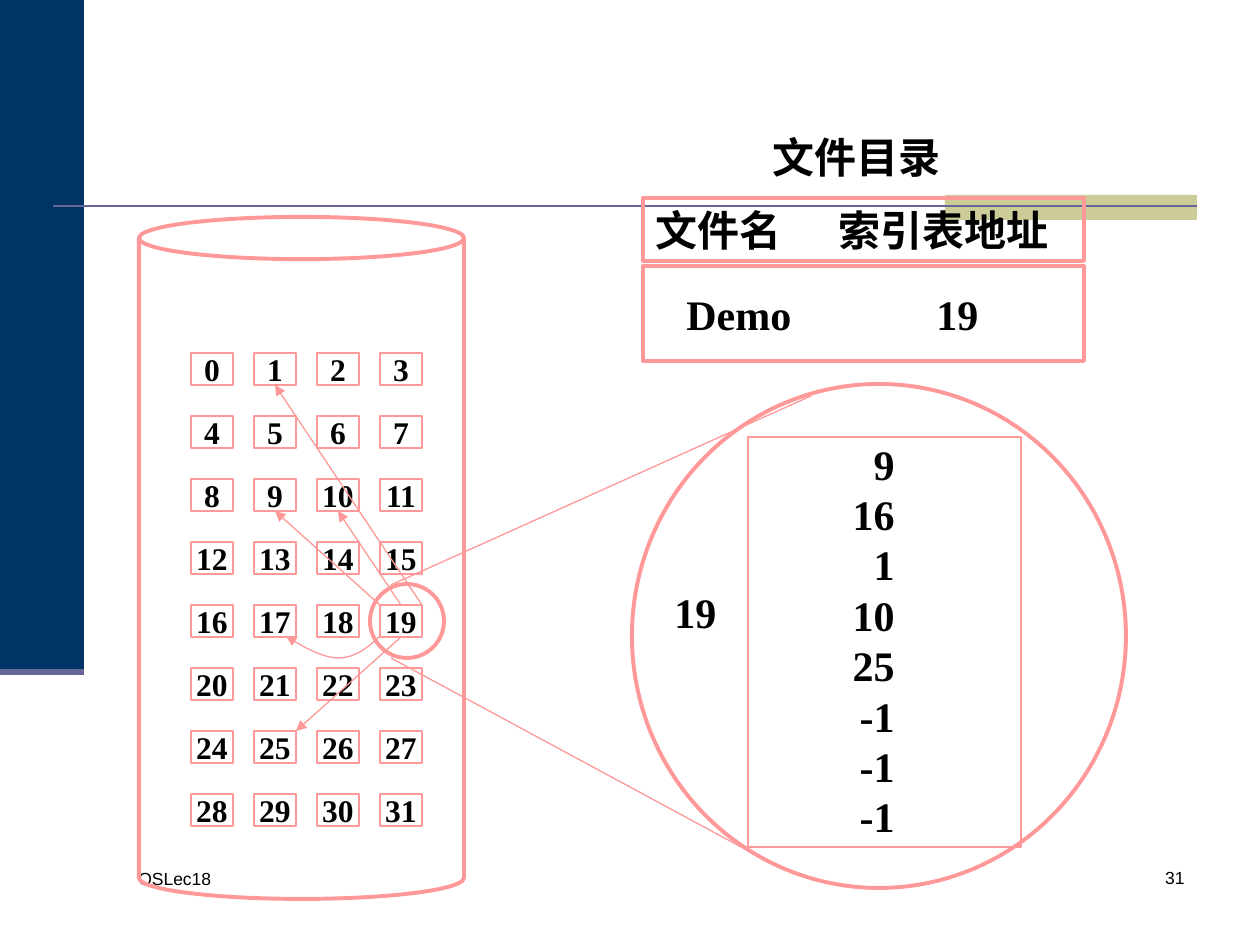
from lxml import etree
from pptx import Presentation, util as u
from pptx.dml.color import RGBColor
from pptx.enum import shapes, text
from pptx.oxml.ns import qn

# Content
PINK, NAVY, PURPLE, KHAKI, BLACK = "FF9999", "003366", "666699", "CCCC99", "000000"
SERIF, SANS = "Times New Roman", "Arial"
THIN, THICK = 0.75, 2.25
LEFT, CENTER, RIGHT = text.PP_ALIGN.LEFT, text.PP_ALIGN.CENTER, text.PP_ALIGN.RIGHT

COLUMNS, ROWS = 4, 8
GRID_LEFT, GRID_TOP, PITCH = 191, 353, 63
BLOCK_WIDTH, BLOCK_HEIGHT = 42, 32
INDEX_BLOCK = 19
INDEX_TABLE = ["9", "16", "1", "10", "25", "-1", "-1", "-1"]

# (corner of the index block, target block, point on the target)
ARROWS = [
    ((1, 0), 1, (0.5, 1)),
    ((0.5, 0), 10, (0.5, 1)),
    ((0, 0), 9, (0.5, 1)),
    ((0.5, 1), 25, (1, 0)),
]
# Two cubic curves from block 19 to block 17
CURVES = [
    [(380, 636), (368, 648), (354, 658), (339, 658)],
    [(339, 658), (323, 658), (305, 648), (286, 636)],
]
ZOOM_LINES = [((391, 585), (811, 396)), ((391, 658), (780, 868))]

# box, lines of text, format, alignment, tab stop
SMALL = {"size": 10, "name": SANS, "bold": False}
FOOTER = [
    ((126, 862, 273, 63), ["OSLec18"], SMALL, LEFT, None),
    ((935, 861, 262, 63), ["31"], SMALL, RIGHT, None),
]
LABELS = [
    ((760, 125, 193, 63), ["文件目录"], {}, LEFT, None),
    ((674, 282, 368, 63), ["Demo\t19"], {}, LEFT, 250),
    ((827, 432, 80, 416), INDEX_TABLE, {}, RIGHT, None),
    ((662, 580, 67, 63), [str(INDEX_BLOCK)], {}, LEFT, None),
]


def px(value):
    return round(value * 914400 / 126)


def color(value):
    return RGBColor.from_string(value)


def set_text(shape, lines, font=None, align=LEFT, tab=None, wrap=True):
    frame = shape.text_frame
    frame.word_wrap = wrap
    style = {"size": 24, "name": SERIF, "bold": True} | (font or {})
    for number, line in enumerate(lines):
        paragraph = frame.paragraphs[0] if number == 0 else frame.add_paragraph()
        paragraph.alignment = align
        if tab:
            stops = etree.SubElement(paragraph._p.get_or_add_pPr(), qn("a:tabLst"))
            etree.SubElement(stops, qn("a:tab"), pos=str(px(tab)), algn="l")
        run = paragraph.add_run()
        run.text = line
        for key, value in style.items():
            setattr(run.font, key, u.Pt(value) if key == "size" else value)
        run.font.color.rgb = color(BLACK)


def add_labels(parent, labels):
    for box, lines, font, align, tab in labels:
        set_text(parent.add_textbox(*map(px, box)), lines, font, align, tab)


def set_outline(shape, width, line=PINK, arrow=False):
    shape.line.color.rgb = color(line)
    shape.line.width = u.Pt(width)
    if arrow:
        etree.SubElement(shape.line._get_or_add_ln(), qn("a:tailEnd"), type="triangle")


def add_outline(parent, kind, box, width):
    shape = parent.add_shape(kind, *map(px, box))
    shape.shadow.inherit = False
    shape.fill.background()
    set_outline(shape, width)
    shape.text_frame.vertical_anchor = text.MSO_ANCHOR.TOP
    return shape


def add_bar(parent, box, fill):
    shape = parent.add_shape(shapes.MSO_SHAPE.RECTANGLE, *map(px, box))
    shape.shadow.inherit = False
    shape.fill.solid()
    shape.fill.fore_color.rgb = color(fill)
    shape.line.fill.background()


def add_line(parent, start, end, width=THIN, line=PINK, arrow=False):
    connector = parent.add_connector(shapes.MSO_CONNECTOR.STRAIGHT, *map(px, start + end))
    set_outline(connector, width, line, arrow)
    etree.SubElement(connector._element.spPr, qn("a:effectLst"))


def block_point(block, fraction=(0, 0)):
    row, column = divmod(block, COLUMNS)
    return (GRID_LEFT + column * PITCH + fraction[0] * BLOCK_WIDTH,
            GRID_TOP + row * PITCH + fraction[1] * BLOCK_HEIGHT)


def curve_points(controls, steps=12):
    for step in range(1, steps + 1):
        t = step / steps
        weights = ((1 - t) ** 3, 3 * t * (1 - t) ** 2, 3 * t ** 2 * (1 - t), t ** 3)
        yield tuple(px(sum(w * point[axis] for w, point in zip(weights, controls)))
                    for axis in (0, 1))


def main():
    presentation = Presentation()
    presentation.slide_width, presentation.slide_height = px(1260), px(945)
    slide = presentation.slides.add_slide(presentation.slide_layouts[6])
    canvas = slide.shapes
    rectangle, ellipse = shapes.MSO_SHAPE.RECTANGLE, shapes.MSO_SHAPE.OVAL

    # Background bars, rules and footer
    add_bar(canvas, (0, 0, 84, 672), NAVY)
    add_bar(canvas, (945, 195, 252, 25), KHAKI)
    add_line(canvas, (53, 206), (1197, 206), 1.5, PURPLE)
    add_line(canvas, (0, 672), (84, 672), 3.5, PURPLE)
    add_labels(canvas, FOOTER)

    # Disk with its numbered blocks
    blocks = canvas.add_group_shape().shapes
    for block in range(COLUMNS * ROWS):
        box = block_point(block) + (BLOCK_WIDTH, BLOCK_HEIGHT)
        shape = add_outline(blocks, rectangle, box, THIN)
        shape.text_frame.vertical_anchor = text.MSO_ANCHOR.MIDDLE
        set_text(shape, [str(block)], {"size": 18}, CENTER, wrap=False)
    disk = add_outline(canvas, shapes.MSO_SHAPE.CAN, (139, 217, 325, 682), THICK)
    disk.adjustments[0] = 0.13

    # File directory
    header = add_outline(canvas, rectangle, (643, 198, 441, 63), THICK)
    set_text(header, ["文件名\t索引表地址"], tab=183)
    add_outline(canvas, rectangle, (643, 266, 441, 95), THICK)

    # Arrows from the index block to the data blocks
    add_outline(canvas, ellipse, (370, 584, 74, 74), THICK)
    for start, target, end in ARROWS:
        add_line(canvas, block_point(INDEX_BLOCK, start), block_point(target, end), arrow=True)
    builder = canvas.build_freeform(*map(px, CURVES[0][0]))
    for controls in CURVES:
        builder.add_line_segments(curve_points(controls), close=False)
    curve = builder.convert_to_shape()
    curve.shadow.inherit = False
    curve.fill.background()
    set_outline(curve, THIN, arrow=True)

    # Enlarged index table
    add_outline(canvas, rectangle, (748, 437, 273, 410), THIN)
    add_outline(canvas, ellipse, (632, 384, 494, 504), THICK)
    for start, end in ZOOM_LINES:
        add_line(canvas, start, end)
    add_labels(canvas, LABELS)

    presentation.save("out.pptx")


if __name__ == "__main__":
    main()
